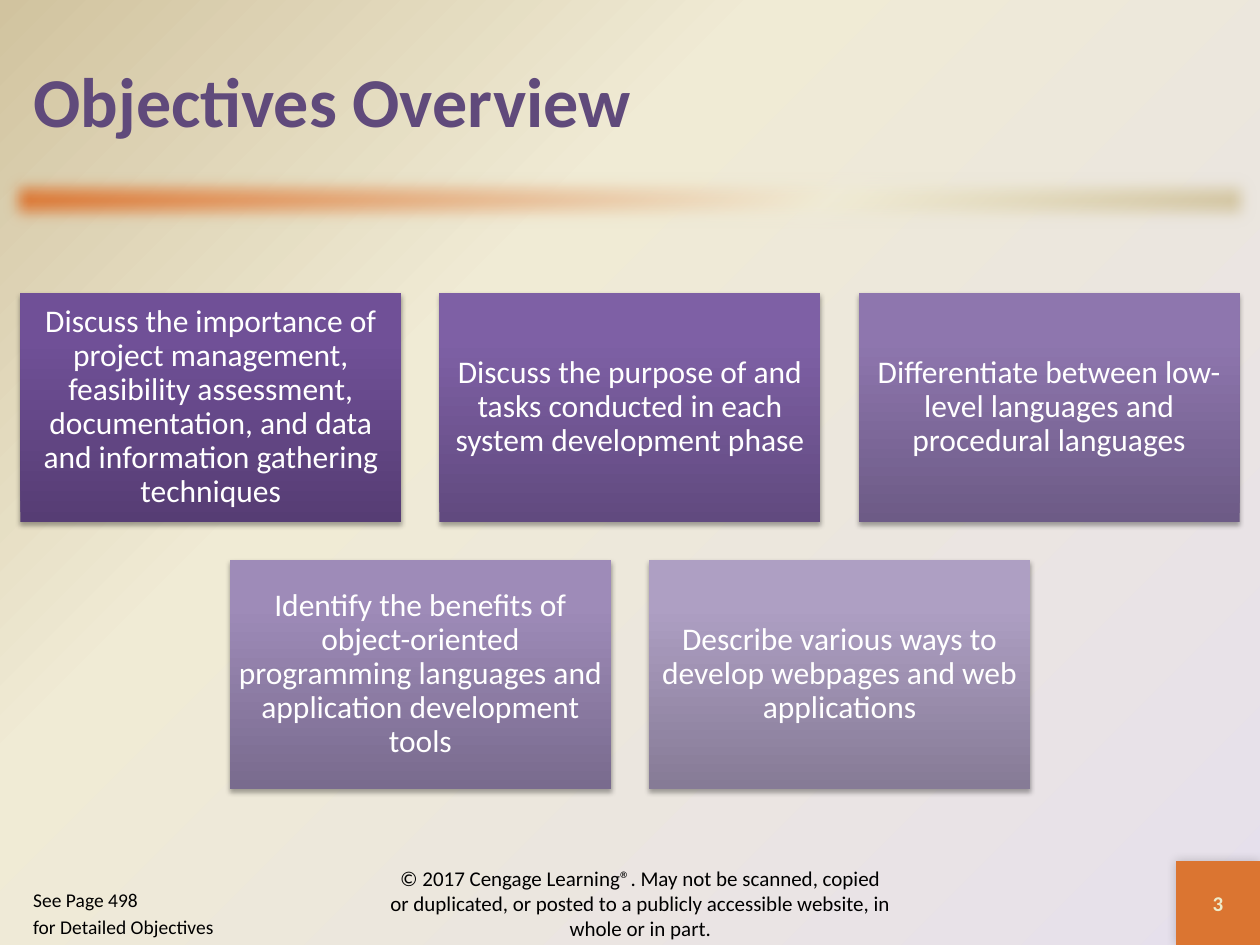
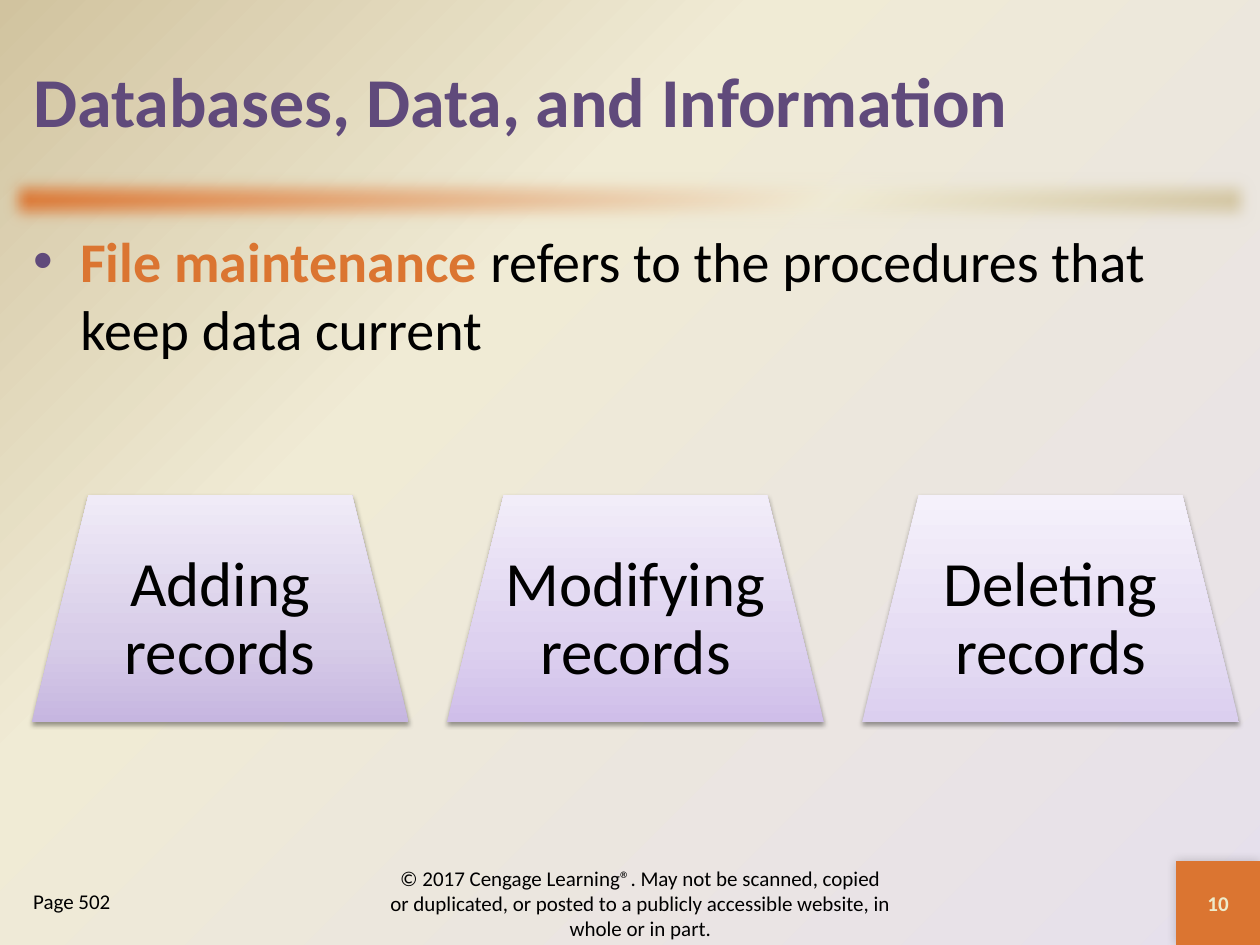
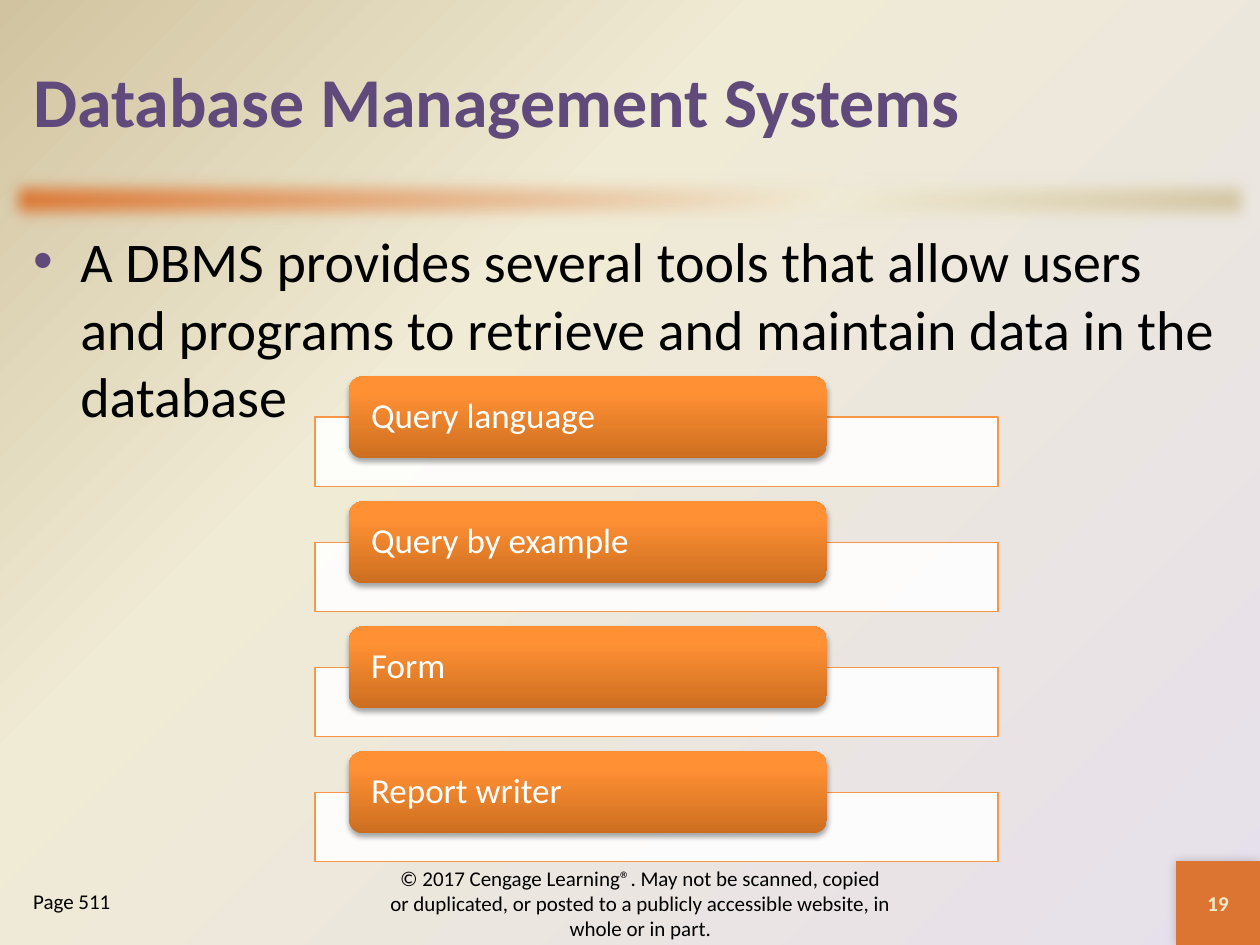
from dataclasses import dataclass

from lxml.etree import SubElement
from pptx import Presentation
from pptx.dml.color import RGBColor
from pptx.enum.shapes import MSO_SHAPE as Preset
from pptx.enum.text import MSO_ANCHOR as Anchor, MSO_AUTO_SIZE as AutoSize, PP_ALIGN as Align
from pptx.oxml.ns import qn
from pptx.util import Cm, Pt

FONT = "Calibri"
TITLE_ONLY = 5
PAGE_WIDTH, PAGE_HEIGHT = 25.4, 19.05
COLORS = {
    "purple": "604A7B",
    "orange": "DB7531",
    "cream": "F0EBD5",
    "sand": "D1C39F",
    "lilac": "E6E0EC",
    "number": "EEEBCA",
    "frame": "F79646",
    "black": "000000",
    "white": "FFFFFF",
}
COPYRIGHT = (
    "© 2017 Cengage Learning®. May not be scanned, copied or duplicated, "
    "or posted to a publicly accessible website, in whole or in part."
)


@dataclass(frozen=True)
class Area:
    left: float
    top: float
    width: float
    height: float

    def lengths(self) -> tuple:
        return Cm(self.left), Cm(self.top), Cm(self.width), Cm(self.height)


@dataclass(frozen=True)
class Span:
    text: str
    size: float
    color: str = COLORS["black"]
    bold: bool = False


@dataclass(frozen=True)
class Shadow:
    alpha: int
    blur: float
    distance: float
    angle: int


@dataclass(frozen=True)
class Card:
    text: str
    stops: tuple


@dataclass(frozen=True)
class CardStyle:
    preset: int
    positions: tuple
    size: float
    color: str
    align: int
    insets: tuple
    shadow: Shadow


BAR = Area(0, 3.39, PAGE_WIDTH, 1.27)
BADGE = Area(23.71, 17.36, 1.69, 1.69)
TITLE = Area(0.42, 0.42, 24.55, 3.18)
BODY = Area(0.42, 4.45, 24.55, 12.91)
COPYRIGHT_AREA = Area(7.62, 17.57, 10.58, 1.27)
PAGE_REFERENCE = Area(0.42, 17.78, 4.66, 1.27)

BADGE_SHADOW = Shadow(20, 6, 0, 225)
SOLID_SHADOW = Shadow(35, 3.1, 1.8, 90)
PALE_SHADOW = Shadow(38, 3.1, 1.6, 90)

TILE = CardStyle(Preset.RECTANGLE, (0, 80, 100), 18, COLORS["white"],
                 Align.CENTER, (0.18, 0.18), SOLID_SHADOW)
TRAPEZOID = CardStyle(Preset.TRAPEZOID, (0, 35, 100), 36, COLORS["black"],
                      Align.CENTER, (0.38, 0.38), PALE_SHADOW)
TOOL = CardStyle(Preset.ROUNDED_RECTANGLE, (0, 80, 100), 20, COLORS["white"],
                 Align.LEFT, (0.36, 0), SOLID_SHADOW)

OBJECTIVE_ROWS = (
    (
        Card("Discuss the importance of project management, feasibility assessment, "
             "documentation, and data and information gathering techniques",
             ("563D74", "705097", "704F99")),
        Card("Discuss the purpose of and tasks conducted in each system development phase",
             ("614A7F", "7E60A5", "7F60A7")),
        Card("Differentiate between low-level languages and procedural languages",
             ("6D5B86", "8E76AE", "8E75B0")),
    ),
    (
        Card("Identify the benefits of object-oriented programming languages "
             "and application development tools",
             ("796B8E", "9E8BB8", "9E8BBA")),
        Card("Describe various ways to develop webpages and web applications",
             ("867B96", "AE9FC3", "AE9FC4")),
    ),
)
MAINTENANCE_TASKS = (
    Card("Adding records", ("C6B6E0", "D7CCE8", "F0EBF7")),
    Card("Modifying records", ("CFBEE9", "DDD1EF", "F2EDF9")),
    Card("Deleting records", ("DBCFEF", "E5DCF3", "F5F1FB")),
)
TOOL_STOPS = ("CC6E20", "FF9034", "FF9136")
TOOLS = ("Query language", "Query by example", "Form", "Report writer")


def fill_gradient(fill, owner, colors: tuple, positions: tuple, angle: int | None = None) -> None:
    fill.gradient()
    gradient = owner.xpath(".//a:gradFill")[0]
    for child in list(gradient):
        gradient.remove(child)
    stops = SubElement(gradient, qn("a:gsLst"))
    for color, position in zip(colors, positions):
        stop = SubElement(stops, qn("a:gs"), pos=str(position * 1000))
        SubElement(stop, qn("a:srgbClr"), val=color)
    if angle is None:
        circle = SubElement(gradient, qn("a:path"), path="circle")
        SubElement(circle, qn("a:fillToRect"), l="100000", t="100000")
    else:
        SubElement(gradient, qn("a:lin"), ang=str(angle * 60000), scaled="0")


def add_plain_shape(page, preset: int, area: Area):
    shape = page.shapes.add_shape(preset, *area.lengths())
    shape.shadow.inherit = False
    shape.line.fill.background()
    return shape


def fill_solid(shape, color: str) -> None:
    shape.fill.solid()
    shape.fill.fore_color.rgb = RGBColor.from_string(color)


def add_shadow(shape, shadow: Shadow) -> None:
    effects = shape.element.spPr.find(qn("a:effectLst"))
    outer = SubElement(effects, qn("a:outerShdw"), blurRad=str(Pt(shadow.blur)),
                       dist=str(Pt(shadow.distance)), dir=str(shadow.angle * 60000),
                       rotWithShape="0")
    color = SubElement(outer, qn("a:srgbClr"), val=COLORS["black"])
    SubElement(color, qn("a:alpha"), val=str(shadow.alpha * 1000))


def write_spans(para, spans: tuple, align: int = Align.LEFT) -> None:
    para.alignment = align
    for span in spans:
        run = para.add_run()
        run.text = span.text
        run.font.name = FONT
        run.font.size = Pt(span.size)
        run.font.bold = span.bold
        run.font.color.rgb = RGBColor.from_string(span.color)


def prepare_frame(shape, anchor: int):
    frame = shape.text_frame
    frame.word_wrap = True
    frame.auto_size = AutoSize.NONE
    frame.vertical_anchor = anchor
    return frame


def add_text(page, area: Area, anchor: int = Anchor.TOP):
    box = page.shapes.add_textbox(*area.lengths())
    return prepare_frame(box, anchor)


def add_card(page, area: Area, card: Card, style: CardStyle) -> None:
    shape = add_plain_shape(page, style.preset, area)
    fill_gradient(shape.fill, shape.element.spPr, card.stops, style.positions, 270)
    add_shadow(shape, style.shadow)
    frame = prepare_frame(shape, Anchor.MIDDLE)
    across, down = style.insets
    frame.margin_left = frame.margin_right = Cm(across)
    frame.margin_top = frame.margin_bottom = Cm(down)
    para = frame.paragraphs[0]
    para.line_spacing = 0.9
    write_spans(para, (Span(card.text, style.size, style.color),), style.align)


def add_bullet(page, spans: tuple) -> None:
    para = add_text(page, BODY).paragraphs[0]
    properties = para._p.get_or_add_pPr()
    properties.set("marL", str(Cm(0.95)))
    properties.set("indent", str(-Cm(0.95)))
    color = SubElement(properties, qn("a:buClr"))
    SubElement(color, qn("a:srgbClr"), val=COLORS["purple"])
    SubElement(properties, qn("a:buFont"), typeface="Arial")
    SubElement(properties, qn("a:buChar"), char="•")
    write_spans(para, spans)


def add_page(deck, title: str, number: int, references: tuple, reference_size: float = 12):
    page = deck.slides.add_slide(deck.slide_layouts[TITLE_ONLY])
    heading = page.shapes.title
    heading.left, heading.top, heading.width, heading.height = TITLE.lengths()
    frame = prepare_frame(heading, Anchor.MIDDLE)
    write_spans(frame.paragraphs[0], (Span(title, 40, COLORS["purple"], True),))

    bar = add_plain_shape(page, Preset.RECTANGLE, BAR)
    fill_gradient(bar.fill, bar.element.spPr,
                  (COLORS["orange"], COLORS["cream"], COLORS["sand"]), (0, 65, 100), 45)
    effects = bar.element.spPr.find(qn("a:effectLst"))
    SubElement(effects, qn("a:softEdge"), rad=str(Pt(10)))

    badge = add_plain_shape(page, Preset.RECTANGLE, BADGE)
    fill_solid(badge, COLORS["orange"])
    add_shadow(badge, BADGE_SHADOW)
    frame = prepare_frame(badge, Anchor.MIDDLE)
    write_spans(frame.paragraphs[0], (Span(str(number), 12, COLORS["number"], True),),
                Align.CENTER)

    frame = add_text(page, COPYRIGHT_AREA, Anchor.MIDDLE)
    write_spans(frame.paragraphs[0], (Span(COPYRIGHT, 12),), Align.CENTER)

    frame = add_text(page, PAGE_REFERENCE)
    for index, reference in enumerate(references):
        para = frame.add_paragraph() if index else frame.paragraphs[0]
        if index:
            para.space_before = Pt(2.2)
        write_spans(para, (Span(reference, reference_size),))
    return page


def build_objectives(deck) -> None:
    page = add_page(deck, "Objectives Overview", 3,
                    ("See Page 498", "for Detailed Objectives"), 11.1)
    width, height, gap = 7.68, 4.61, 0.77
    for row, cards in enumerate(OBJECTIVE_ROWS):
        row_width = len(cards) * (width + gap) - gap
        left = (PAGE_WIDTH - row_width) / 2
        top = 5.91 + row * (height + gap)
        for column, card in enumerate(cards):
            area = Area(left + column * (width + gap), top, width, height)
            add_card(page, area, card, TILE)


def build_maintenance(deck) -> None:
    page = add_page(deck, "Databases, Data, and Information", 10, ("Page 502",))
    add_bullet(page, (
        Span("File maintenance ", 32, COLORS["orange"], True),
        Span("refers to the procedures that keep data current", 32),
    ))
    for column, card in enumerate(MAINTENANCE_TASKS):
        add_card(page, Area(0.64 + column * 8.37, 9.98, 7.6, 4.58), card, TRAPEZOID)


def build_tools(deck) -> None:
    page = add_page(deck, "Database Management Systems", 19, ("Page 511",))
    add_bullet(page, (
        Span("A DBMS provides several tools that allow users and programs "
             "to retrieve and maintain data in the database", 32),
    ))
    for row, tool in enumerate(TOOLS):
        top = 7.59 + row * 2.52
        panel = add_plain_shape(page, Preset.RECTANGLE, Area(6.35, top + 0.82, 13.77, 1.4))
        fill_solid(panel, COLORS["white"])
        color = panel.element.spPr.find(qn("a:solidFill"))[0]
        SubElement(color, qn("a:alpha"), val="90000")
        panel.line.color.rgb = RGBColor.from_string(COLORS["frame"])
        panel.line.width = Pt(0.75)
        add_card(page, Area(7.04, top, 9.63, 1.65), Card(tool, TOOL_STOPS), TOOL)


def main() -> None:
    deck = Presentation()
    deck.slide_width, deck.slide_height = Cm(PAGE_WIDTH), Cm(PAGE_HEIGHT)
    master = deck.slide_master
    fill_gradient(master.background.fill, master.element.cSld,
                  (COLORS["lilac"], COLORS["cream"], COLORS["sand"]), (0, 65, 100))
    build_objectives(deck)
    build_maintenance(deck)
    build_tools(deck)
    deck.save("out.pptx")


if __name__ == "__main__":
    main()
